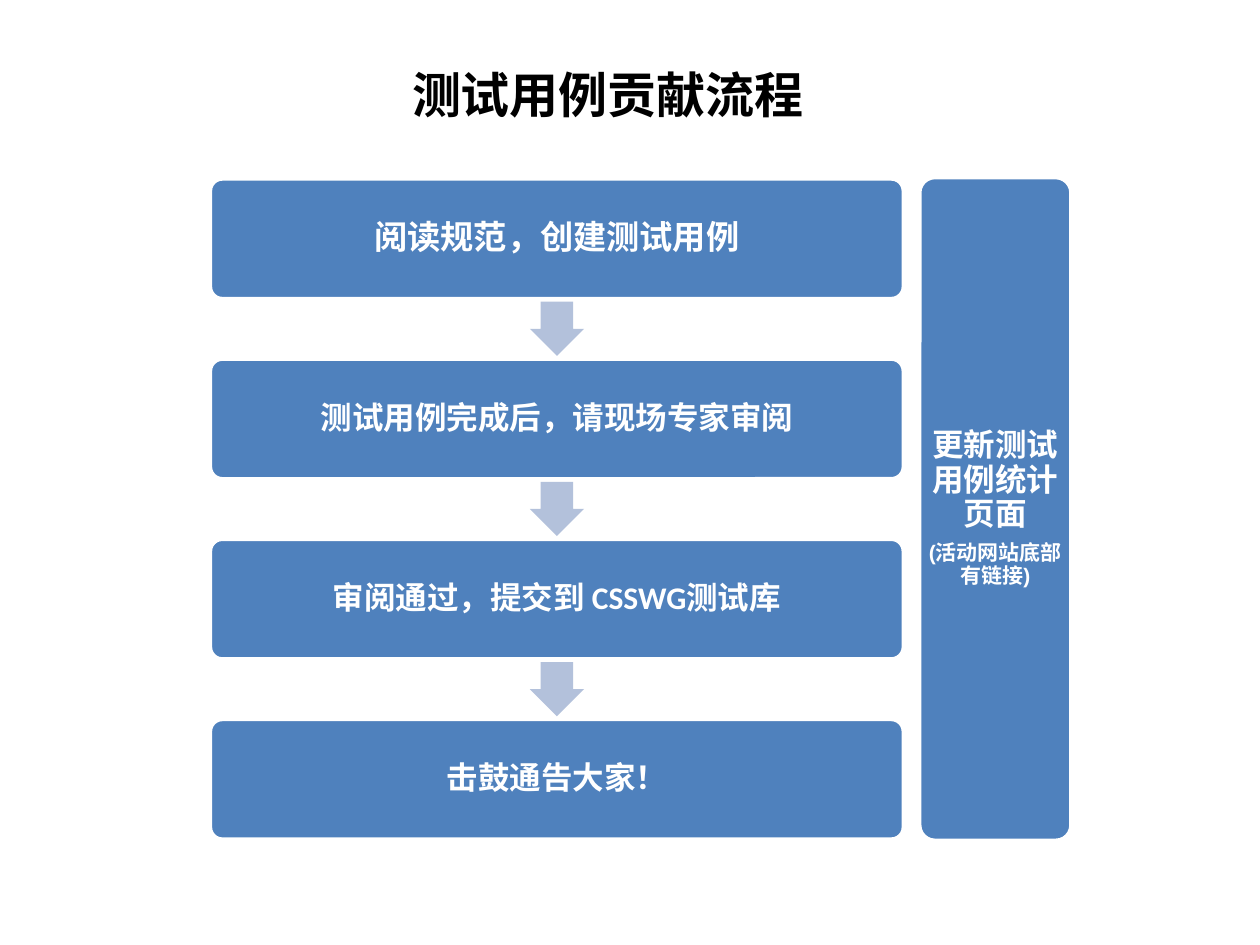
from dataclasses import dataclass

from pptx import Presentation
from pptx.dml.color import RGBColor
from pptx.enum.shapes import MSO_SHAPE as Preset
from pptx.enum.text import MSO_ANCHOR as Anchor, MSO_AUTO_SIZE as AutoSize, PP_ALIGN as Align
from pptx.util import Inches, Pt

BLUE, PALE, WHITE, BLACK = "4F81BD", "B3C1DB", "FFFFFF", "000000"
STEP_LEFT, STEP_TOP, STEP_WIDTH, STEP_HEIGHT, STEP_PITCH = 1.67, 1.42, 5.5, 0.95, 1.43
ARROW_SIZE = 0.43


@dataclass
class Line:
    """One paragraph of a box."""
    text: str
    size: float = 18


@dataclass
class Box:
    """A rounded box with its place, paragraphs and side margin."""
    left: float
    top: float
    width: float
    height: float
    lines: list[Line]
    font: str = "Calibri"
    margin: float = 0.07


def paint(target, color: str) -> None:
    """Give a fill or a font a solid colour."""
    if hasattr(target, "solid"):
        target.solid()
        target = target.fore_color
    else:
        target = target.color
    target.rgb = RGBColor.from_string(color)


def style(paragraph, size: float, font: str, color: str) -> None:
    """Set the bold font of a paragraph."""
    paragraph.font.size = Pt(size)
    paragraph.font.name = font
    paragraph.font.bold = True
    paint(paragraph.font, color)


def draw_box(slide, box: Box) -> None:
    """Draw a rounded box with centred text."""
    shape = slide.shapes.add_shape(
        Preset.ROUNDED_RECTANGLE, Inches(box.left), Inches(box.top),
        Inches(box.width), Inches(box.height))
    shape.adjustments[0] = 0.1
    shape.shadow.inherit = False
    paint(shape.fill, BLUE)
    paint(shape.line.fill, WHITE)
    shape.line.width = Pt(2)
    frame = shape.text_frame
    frame.word_wrap = True
    frame.vertical_anchor = Anchor.MIDDLE
    frame.margin_left = frame.margin_right = Inches(box.margin)
    frame.margin_top = frame.margin_bottom = Inches(0.07)
    for index, line in enumerate(box.lines):
        paragraph = frame.add_paragraph() if index else frame.paragraphs[0]
        paragraph.text = line.text
        paragraph.alignment = Align.CENTER
        paragraph.line_spacing = 0.9
        paragraph.space_after = Pt(line.size * 0.35)
        style(paragraph, line.size, box.font, WHITE)


def draw_arrow(slide, center: float, top: float) -> None:
    """Draw a downward arrow between two steps."""
    arrow = slide.shapes.add_shape(
        Preset.RIGHT_ARROW, Inches(center - ARROW_SIZE / 2), Inches(top),
        Inches(ARROW_SIZE), Inches(ARROW_SIZE))
    arrow.rotation = 90
    arrow.adjustments[0] = 0.6
    arrow.adjustments[1] = 0.5
    arrow.shadow.inherit = False
    paint(arrow.fill, PALE)
    arrow.line.fill.background()


def draw_title(slide, text: str) -> None:
    """Place and format the slide title."""
    title = slide.shapes.title
    title.left, title.top = Inches(3.17), Inches(0.46)
    title.width, title.height = Inches(3.72), Inches(0.57)
    frame = title.text_frame
    frame.text = text
    frame.auto_size = AutoSize.NONE
    frame.vertical_anchor = Anchor.TOP
    frame.paragraphs[0].alignment = Align.LEFT
    style(frame.paragraphs[0], 28, "Calibri", BLACK)


def main() -> None:
    """Build and save the slide."""
    deck = Presentation()
    deck.slide_width, deck.slide_height = Inches(10), Inches(7.5)
    slide = deck.slides.add_slide(deck.slide_layouts[5])
    draw_title(slide, "测试用例贡献流程")

    steps = [
        Line("阅读规范，创建测试用例", 19),
        Line("测试用例完成后，请现场专家审阅"),
        Line("审阅通过，提交到 CSSWG测试库"),
        Line("击鼓通告大家！"),
    ]
    gap = STEP_PITCH - STEP_HEIGHT
    for index, step in enumerate(steps):
        top = STEP_TOP + index * STEP_PITCH
        if index:
            draw_arrow(slide, STEP_LEFT + STEP_WIDTH / 2, top - (gap + ARROW_SIZE) / 2)
        draw_box(slide, Box(STEP_LEFT, top, STEP_WIDTH, STEP_HEIGHT, [step]))

    statistics = [Line("更新测试用例统计页面"), Line("(活动网站底部有链接)", 12)]
    draw_box(slide, Box(7.3, 1.41, 1.2, 5.26, statistics, "Arial", 0))
    deck.save("out.pptx")


main()
